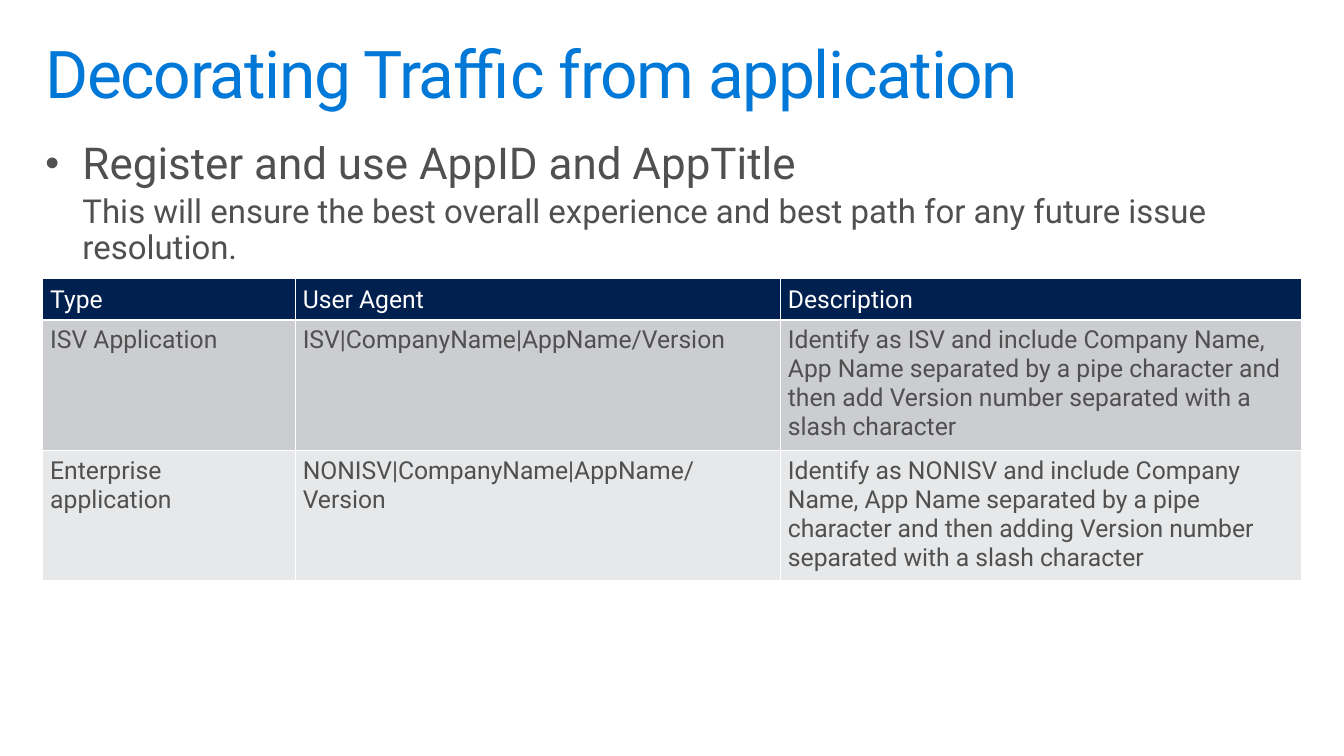
from lxml import etree
from pptx import Presentation
from pptx.dml.color import RGBColor
from pptx.enum import text
from pptx.oxml import ns
from pptx.util import Pt

FONT = "Roboto"
WHITE = RGBColor(0xFF, 0xFF, 0xFF)
BLUE = RGBColor(0x00, 0x78, 0xD7)
NAVY = RGBColor(0x00, 0x20, 0x50)
GREY = RGBColor(0x50, 0x50, 0x50)
ROW_FILLS = [NAVY, RGBColor(0xCC, 0xCD, 0xD0), RGBColor(0xE7, 0xE8, 0xE9)]

COLUMN_WIDTHS = [184, 353.5, 380]
ROW_HEIGHTS = [29.5, 93, 93]
USER_AGENTS = [
    ["Type", "User Agent", "Description"],
    ["ISV Application", "ISV|CompanyName|AppName/Version",
     "Identify as ISV and include Company Name, App Name separated by a pipe character "
     "and then add Version number separated with a slash character"],
    ["Enterprise application", "NONISV|CompanyName|AppName/Version",
     "Identify as NONISV and include Company Name, App Name separated by a pipe character "
     "and then adding Version number separated with a slash character"],
]


def set_margins(target, horizontal, vertical):
    target.margin_left = target.margin_right = Pt(horizontal)
    target.margin_top = target.margin_bottom = Pt(vertical)


def format_runs(paragraph, size, color):
    for run in paragraph.runs:
        run.font.name = FONT
        run.font.size = Pt(size)
        run.font.color.rgb = color


def add_title(slide, left, top, width, height):
    title = slide.shapes.title
    title.left, title.top, title.width, title.height = map(Pt, (left, top, width, height))
    frame = title.text_frame
    frame.text = "Decorating Traffic from application"
    frame.word_wrap = True
    frame.auto_size = text.MSO_AUTO_SIZE.NONE
    frame.vertical_anchor = text.MSO_ANCHOR.TOP
    set_margins(frame, 11.5, 7.2)
    paragraph = frame.paragraphs[0]
    paragraph.alignment = text.PP_ALIGN.LEFT
    paragraph.line_spacing = 0.9
    format_runs(paragraph, 48, BLUE)
    paragraph.runs[0].font._element.set("spc", "-100")


def add_guidance(slide, left, top, width, height):
    frame = slide.shapes.add_textbox(*map(Pt, (left, top, width, height))).text_frame
    frame.word_wrap = True
    set_margins(frame, 11.5, 7.2)

    heading = frame.paragraphs[0]
    heading.text = "Register and use AppID and AppTitle"
    format_runs(heading, 32, GREY)

    detail = frame.add_paragraph()
    detail.text = ("This will ensure the best overall experience and best path "
                   "for any future issue resolution.")
    detail.space_before = Pt(4.8)
    format_runs(detail, 24, GREY)

    for paragraph, indent in ((heading, -27), (detail, 0)):
        paragraph.line_spacing = 0.9
        properties = paragraph._p.get_or_add_pPr()
        properties.set("marL", str(Pt(27)))
        properties.set("indent", str(Pt(indent)))
    properties = heading._p.get_or_add_pPr()
    etree.SubElement(properties, ns.qn("a:buSzPct"), val="90000")
    etree.SubElement(properties, ns.qn("a:buFont"), typeface="Arial")
    etree.SubElement(properties, ns.qn("a:buChar"), char="•")


def add_cell_borders(cell, color, width):
    properties = cell._tc.get_or_add_tcPr()
    for position, side in enumerate(("lnL", "lnR", "lnT", "lnB")):
        line = etree.Element(ns.qn(f"a:{side}"), w=str(Pt(width)))
        fill = etree.SubElement(line, ns.qn("a:solidFill"))
        etree.SubElement(fill, ns.qn("a:srgbClr"), val=str(color))
        properties.insert(position, line)


def add_user_agent_table(slide, left, top):
    table = slide.shapes.add_table(
        len(USER_AGENTS), len(COLUMN_WIDTHS), Pt(left), Pt(top),
        Pt(sum(COLUMN_WIDTHS)), Pt(sum(ROW_HEIGHTS))).table
    for column, width in zip(table.columns, COLUMN_WIDTHS):
        column.width = Pt(width)
    for row_index, (row, height) in enumerate(zip(table.rows, ROW_HEIGHTS)):
        row.height = Pt(height)
        is_header = row_index == 0
        for cell, wording in zip(row.cells, USER_AGENTS[row_index]):
            cell.text = wording
            set_margins(cell, 5.6, 4.3)
            cell.vertical_anchor = text.MSO_ANCHOR.BOTTOM if is_header else text.MSO_ANCHOR.TOP
            cell.fill.solid()
            cell.fill.fore_color.rgb = ROW_FILLS[row_index]
            add_cell_borders(cell, WHITE, 1)
            paragraph = cell.text_frame.paragraphs[0]
            format_runs(paragraph, 18, WHITE if is_header else GREY)
            paragraph.runs[0].font.bold = False


def main():
    presentation = Presentation()
    presentation.slide_width = Pt(979.2)
    presentation.slide_height = Pt(550.8)
    slide = presentation.slides.add_slide(presentation.slide_layouts[5])
    add_title(slide, 21.6, 23, 936, 72)
    add_guidance(slide, 21.6, 95.8, 936, 107)
    add_user_agent_table(slide, 31, 203)
    presentation.save("out.pptx")


if __name__ == "__main__":
    main()
